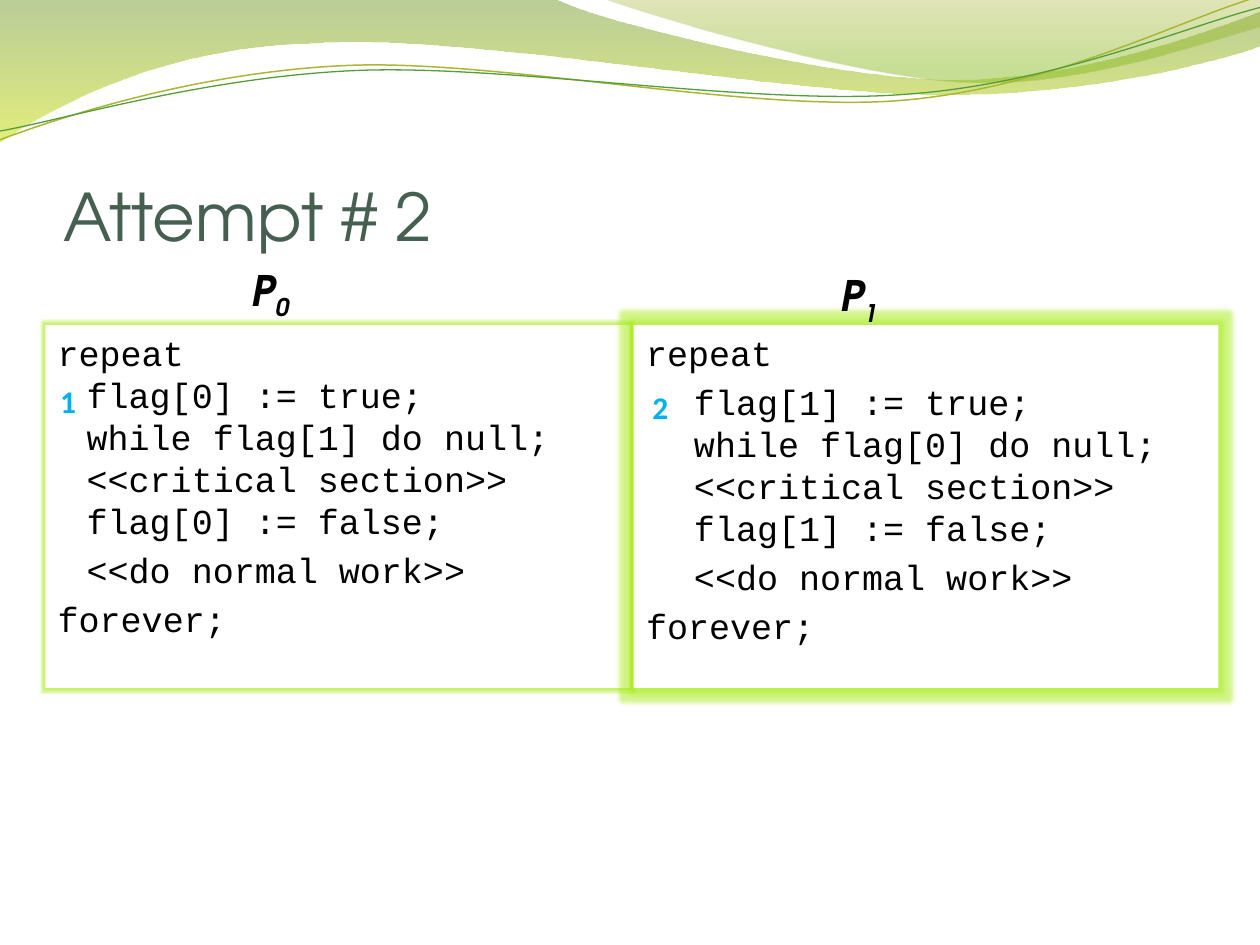
import dataclasses
import math

import pptx
import pptx.dml.color
import pptx.enum.shapes
import pptx.enum.text
import pptx.oxml
import pptx.oxml.ns
import pptx.util

Inches = pptx.util.Inches
Pt = pptx.util.Pt
qn = pptx.oxml.ns.qn
NAMESPACE = pptx.oxml.ns.nsdecls("a")


@dataclasses.dataclass(frozen=True)
class Theme:
    heading_font: str = "TeX Gyre Adventor"
    code_font: str = "Courier New"
    marker_font: str = "Calibri"
    title_size: float = 37.5
    label_size: float = 24
    code_size: float = 20
    marker_size: float = 18
    title: str = "455F51"
    text: str = "000000"
    marker: str = "00B0F0"
    panel: str = "FFFFFF"
    glow: str = "A5EB14"
    olive_line: str = "A9B733"
    green_line: str = "549E39"
    # Gradient stops: position, colour, opacity in percent
    main_wave: tuple = ((0, "69921C", 45), (100, "CCE10F", 55))
    right_wave: tuple = ((0, "9BAA1A", 30), (80, "81BA16", 45))


THEME = Theme()

# Each wave is a start point and segments: two numbers for a line, six for a curve.
MAIN_WAVE = [(0, 0), (4.4, -0.01), (4.75, 0.17, 6.63, 0.63, 7.58, 0.63),
             (8.53, 0.63, 9.58, 0.26, 10, 0.09), (10.01, 0.36),
             (9.83, 0.44, 8.69, 0.76, 7.46, 0.75), (6.22, 0.75, 3.81, 0.28, 2.57, 0.34),
             (1.29, 0.36, 0.46, 0.83, -0.01, 1.13)]
RIGHT_WAVE = [(4.79, -0.01), (5.09, 0.11, 6.82, 0.62, 7.68, 0.65),
              (8.55, 0.69, 9.61, 0.32, 10, 0.21), (10, 0)]
OLIVE_CURVE = [(0, 1.11), (0.48, 0.93, 1.57, 0.57, 2.76, 0.52),
               (3.95, 0.47, 5.92, 0.89, 7.12, 0.8), (8.33, 0.71, 9.38, 0.15, 9.97, -0.02)]
GREEN_CURVE = [(0, 1.04), (0.47, 0.96, 1.63, 0.61, 2.83, 0.56),
               (4.02, 0.51, 5.97, 0.84, 7.17, 0.75), (8.36, 0.67, 9.41, 0.21, 10, 0.06)]
CURVE_TILT = -2.7


def rgb(value):
    return pptx.dml.color.RGBColor.from_string(value)


def add_text(paragraph, text, *, font, size, color, bold=False, italic=False, baseline=0):
    """Append text to a paragraph, turning newlines into line breaks."""
    for index, line in enumerate(text.split("\n")):
        if index:
            paragraph.add_line_break()
        run = paragraph.add_run()
        run.text = line
        run.font.name = font
        run.font.size = Pt(size)
        run.font.color.rgb = rgb(color)
        run.font.bold = bold
        run.font.italic = italic
        if baseline:
            run.font._element.set("baseline", str(baseline * 1000))


def turn(point, center, degrees):
    angle = math.radians(degrees)
    dx, dy = point[0] - center[0], point[1] - center[1]
    return (center[0] + dx * math.cos(angle) - dy * math.sin(angle),
            center[1] + dx * math.sin(angle) + dy * math.cos(angle))


def add_wave(slide, segments, *, closed, center=(0, 0), tilt=0):
    """Add an outline of lines and cubic curves, tilted about its center."""
    points = [segment[i:i + 2] for segment in segments for i in range(0, len(segment), 2)]
    points = [tuple(map(Inches, turn(point, center, -tilt))) for point in points]
    builder = slide.shapes.build_freeform(*points[0])
    builder.add_line_segments(points[1:], close=closed)
    shape = builder.convert_to_shape()
    shape.rotation = tilt
    shape.shadow.inherit = False
    lines = iter(list(shape._element.iter(qn("a:lnTo"))))
    for segment in segments[1:]:
        parts = [next(lines) for _ in range(len(segment) // 2)]
        if len(parts) == 3:
            curve = pptx.oxml.parse_xml(f"<a:cubicBezTo {NAMESPACE}/>")
            parts[0].addprevious(curve)
            for part in parts:
                curve.append(part[0])
                part.getparent().remove(part)
    return shape


def add_filled_wave(slide, segments, stops):
    shape = add_wave(slide, segments, closed=True)
    shape.line.fill.background()
    stop_xml = "".join(
        f'<a:gs pos="{position * 1000}"><a:srgbClr val="{color}">'
        f'<a:alpha val="{opacity * 1000}"/></a:srgbClr></a:gs>'
        for position, color, opacity in stops)
    gradient = pptx.oxml.parse_xml(
        f'<a:gradFill {NAMESPACE}><a:gsLst>{stop_xml}</a:gsLst>'
        '<a:lin ang="5400000" scaled="0"/></a:gradFill>')
    shape._element.spPr.find(qn("a:custGeom")).addnext(gradient)


def add_curve(slide, segments, center, color, width):
    shape = add_wave(slide, segments, closed=False, center=center, tilt=CURVE_TILT)
    shape.fill.background()
    shape.line.color.rgb = rgb(color)
    shape.line.width = Pt(width)


def add_header(slide):
    add_filled_wave(slide, MAIN_WAVE, THEME.main_wave)
    add_filled_wave(slide, RIGHT_WAVE, THEME.right_wave)
    add_curve(slide, OLIVE_CURVE, (4.99, 0.57), THEME.olive_line, 0.85)
    add_curve(slide, GREEN_CURVE, (5, 0.59), THEME.green_line, 0.75)


def place_title(slide, text, left, top, width, height):
    title = slide.shapes.title
    title.left, title.top, title.width, title.height = map(Inches, (left, top, width, height))
    frame = title.text_frame
    frame.margin_left = frame.margin_right = frame.margin_bottom = 0
    frame.margin_top = Inches(0.05)
    frame.vertical_anchor = pptx.enum.text.MSO_ANCHOR.BOTTOM
    frame.auto_size = pptx.enum.text.MSO_AUTO_SIZE.NONE
    paragraph = frame.paragraphs[0]
    paragraph.alignment = pptx.enum.text.PP_ALIGN.LEFT
    add_text(paragraph, text, font=THEME.heading_font, size=THEME.title_size, color=THEME.title)


def add_label(slide, left, top, width, height):
    """Add an unwrapped text box and return its paragraph."""
    box = slide.shapes.add_textbox(*map(Inches, (left, top, width, height)))
    box.text_frame.word_wrap = False
    box.text_frame.auto_size = pptx.enum.text.MSO_AUTO_SIZE.SHAPE_TO_FIT_TEXT
    return box.text_frame.paragraphs[0]


def add_process(slide, left, top, width, height, *, own, other, indent, body_space,
                glow_size, glow_opacity, label_at, marker_at):
    """Add one process: its code panel, step marker and heading."""
    panel = slide.shapes.add_shape(pptx.enum.shapes.MSO_SHAPE.RECTANGLE,
                                   *map(Inches, (left, top, width, height)))
    panel.fill.solid()
    panel.fill.fore_color.rgb = rgb(THEME.panel)
    panel.line.fill.background()
    panel.shadow.inherit = False
    panel._element.spPr.find(qn("a:effectLst")).append(pptx.oxml.parse_xml(
        f'<a:glow {NAMESPACE} rad="{Pt(glow_size)}"><a:srgbClr val="{THEME.glow}">'
        f'<a:alpha val="{glow_opacity * 1000}"/></a:srgbClr></a:glow>'))

    frame = panel.text_frame
    frame.word_wrap = True
    frame.vertical_anchor = pptx.enum.text.MSO_ANCHOR.TOP
    body = (f"\tflag[{own}] := true;\nwhile flag[{other}] do null;\n"
            f"<<critical section>>\nflag[{own}] := false;")
    lines = [("repeat", 4), (body, body_space), ("\t<<do normal work>>", 4), ("forever;", 4)]
    for index, (text, space) in enumerate(lines):
        paragraph = frame.add_paragraph() if index else frame.paragraphs[0]
        paragraph.alignment = pptx.enum.text.PP_ALIGN.LEFT
        paragraph.space_before = Pt(space)
        properties = paragraph._element.get_or_add_pPr()
        properties.set("marL", str(Inches(indent)))
        properties.set("indent", str(-Inches(indent)))
        add_text(paragraph, text, font=THEME.code_font, size=THEME.code_size, color=THEME.text)

    add_text(add_label(slide, *marker_at, 0.34, 0.4), str(own + 1), font=THEME.marker_font,
             size=THEME.marker_size, color=THEME.marker, bold=True)
    heading = add_label(slide, *label_at, 0.51, 0.5)
    for text, baseline in (("P", 0), (str(own), -25)):
        add_text(heading, text, font=THEME.heading_font, size=THEME.label_size,
                 color=THEME.text, bold=True, italic=True, baseline=baseline)


def main():
    presentation = pptx.Presentation()
    presentation.slide_width, presentation.slide_height = Inches(10), Inches(7.5)
    slide = presentation.slides.add_slide(presentation.slide_layouts[5])
    add_header(slide)
    place_title(slide, "Attempt # 2", 0.5, 0.77, 9, 1.25)
    add_process(slide, 0.36, 2.58, 4.64, 2.88, own=0, other=1, indent=0.23, body_space=0,
                glow_size=1.5, glow_opacity=40, label_at=(1.9, 2.05), marker_at=(0.38, 2.98))
    add_process(slide, 5.03, 2.58, 4.64, 2.88, own=1, other=0, indent=0.38, body_space=4,
                glow_size=5.5, glow_opacity=50, label_at=(6.57, 2.09), marker_at=(5.08, 3.03))
    presentation.save("out.pptx")


if __name__ == "__main__":
    main()
